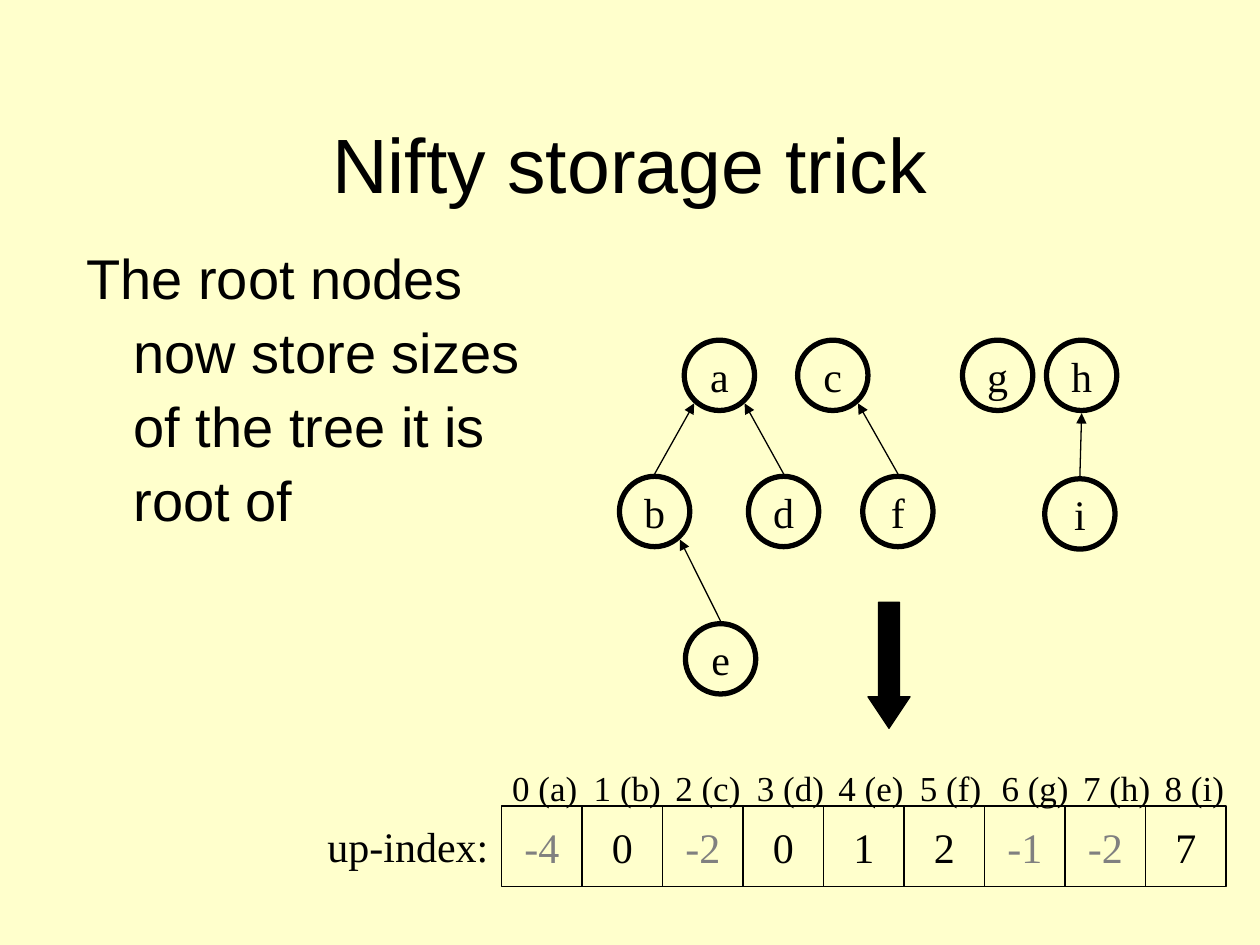
from pptx import Presentation
from pptx.dml.color import RGBColor
from pptx.enum.shapes import MSO_CONNECTOR, MSO_SHAPE
from pptx.enum.text import MSO_ANCHOR, PP_ALIGN
from pptx.oxml.ns import qn
from pptx.util import Pt
from lxml.etree import SubElement

CREAM = RGBColor(0xFF, 0xFF, 0xCC)
BLACK = RGBColor(0, 0, 0)
GRAY = RGBColor(0x80, 0x80, 0x80)

SERIF = {"name": "Times New Roman", "size": Pt(24)}
LABEL = {"name": "Times New Roman", "size": Pt(20)}
TITLE = {"name": "Arial", "size": Pt(44)}
BODY = {"name": "Arial", "size": Pt(32)}

NODE = 40.2
NODES = {
    "a": (391, 194.4), "c": (455.8, 194.4), "g": (550, 194.4),
    "h": (598, 194.4), "b": (354, 272.2), "d": (427.7, 272.2),
    "f": (493, 272.2), "i": (597, 273.6), "e": (391.7, 356.4),
}
# Child, parent, and side of the parent that the arrow meets
LINKS = [("b", "a", -1), ("d", "a", 1), ("f", "c", 1),
         ("i", "h", 0), ("e", "b", 1)]

CELL = 46
ROW_X, ROW_Y = 286.6, 460.6
INDEX = [-4, 0, -2, 0, 1, 2, -1, -2, 7]
ROOTS = "acgh"
STEP = 46.6


def write(shape, text, font, color=BLACK, align=PP_ALIGN.LEFT,
          anchor=MSO_ANCHOR.TOP, wrap=False):
    frame = shape.text_frame
    frame.word_wrap = wrap
    frame.vertical_anchor = anchor
    para = frame.paragraphs[0]
    para.alignment = align
    run = para.add_run()
    run.text = text
    for key, value in font.items():
        setattr(run.font, key, value)
    run.font.color.rgb = color
    return para


def add_text(shapes, area, text, font, **style):
    box = shapes.add_textbox(*map(Pt, area))
    return write(box, text, font, **style)


def add_form(shapes, kind, area, width):
    """Add an unfilled, black-edged preset shape."""
    form = shapes.add_shape(kind, *map(Pt, area))
    form.shadow.inherit = False
    form.fill.background()
    form.line.color.rgb = BLACK
    form.line.width = Pt(width)
    return form


def add_link(shapes, child, parent, side):
    left, top = NODES[child]
    to_x, to_y = (place + NODE / 2 for place in NODES[parent])
    ends = (left + NODE / 2, top - 1.4,
            to_x + 14.4 * side, to_y + (16 if side else 21.6))
    link = shapes.add_connector(MSO_CONNECTOR.STRAIGHT, *map(Pt, ends))
    link.line.color.rgb = BLACK
    link.line.width = Pt(0.75)
    SubElement(link.line._get_or_add_ln(), qn("a:tailEnd"), type="triangle")
    SubElement(link._element.spPr, qn("a:effectLst"))


def add_tree(shapes):
    for name, (left, top) in NODES.items():
        node = add_form(shapes, MSO_SHAPE.OVAL, (left, top, NODE, NODE), 3)
        write(node, name, SERIF, align=PP_ALIGN.CENTER,
              anchor=MSO_ANCHOR.MIDDLE)
    for link in LINKS:
        add_link(shapes, *link)


def add_row(shapes):
    """Add the index cells with their labels above."""
    names = sorted(NODES)
    for i, (name, value) in enumerate(zip(names, INDEX)):
        area = (ROW_X + CELL * i, ROW_Y, CELL, CELL)
        cell = add_form(shapes, MSO_SHAPE.RECTANGLE, area, 0.75)
        write(cell, str(value), SERIF, GRAY if name in ROOTS else BLACK,
              PP_ALIGN.CENTER, MSO_ANCHOR.MIDDLE)

    text = "\t".join(f"{i} ({name})" for i, name in enumerate(names))
    para = add_text(shapes, (285.6, 434.2, 430, 31.7), text, LABEL, wrap=True)
    tabs = SubElement(para._p.get_or_add_pPr(), qn("a:tabLst"))
    for i in range(1, len(names)):
        SubElement(tabs, qn("a:tab"), pos=str(Pt(STEP * i)), algn="l")


def add_body(shapes):
    para = add_text(shapes, (42.2, 131.8, 276, 324),
                    "The root nodes now store sizes of the tree it is root of",
                    BODY, wrap=True)
    para.line_spacing = 1.1
    props = para._p.get_or_add_pPr()
    props.set("marL", str(Pt(27)))
    props.set("indent", str(Pt(-27)))


def main():
    deck = Presentation()
    deck.slide_width, deck.slide_height = Pt(720), Pt(540)
    slide = deck.slides.add_slide(deck.slide_layouts[6])
    slide.background.fill.solid()
    slide.background.fill.fore_color.rgb = CREAM
    shapes = slide.shapes

    add_tree(shapes)
    add_row(shapes.add_group_shape().shapes)

    arrow = add_form(shapes, MSO_SHAPE.DOWN_ARROW, (496, 344.2, 24, 72), 0.75)
    arrow.adjustments[0], arrow.adjustments[1] = 0.5, 0.75
    arrow.fill.solid()
    arrow.fill.fore_color.rgb = BLACK

    add_text(shapes, (54, 48, 612, 90), "Nifty storage trick", TITLE,
             align=PP_ALIGN.CENTER, anchor=MSO_ANCHOR.MIDDLE, wrap=True)
    add_body(shapes)
    add_text(shapes, (180, 465.1, 106.6, 36), "up-index:", SERIF)
    deck.save("out.pptx")


if __name__ == "__main__":
    main()
